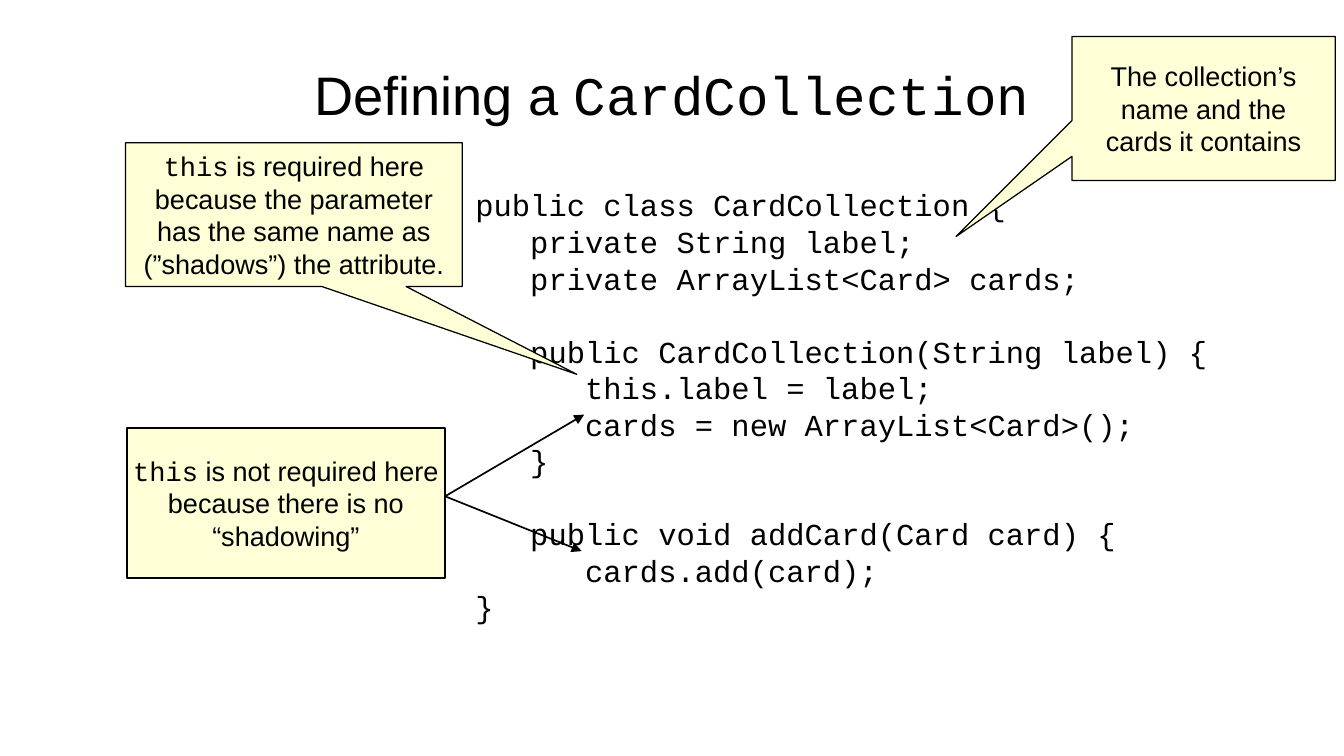
from lxml.etree import SubElement
from pptx import Presentation
from pptx.dml.color import RGBColor
from pptx.enum.shapes import MSO_CONNECTOR as Connector, MSO_SHAPE as Shape
from pptx.enum.text import MSO_ANCHOR as Anchor, PP_ALIGN as Align
from pptx.oxml.ns import qn
from pptx.util import Inches, Pt

WIDTH, HEIGHT = Inches(11.02), Inches(6.2)
SANS, MONO = "Arial", "Courier New"
BLACK, CREAM = "000000", "FFFFD7"
CODE_SIZE, NOTE_SIZE, TITLE_SIZE = 18, 16, 32
CODE_INDENT = Inches(0.45)  # three monospaced characters
BLANK_LINE = 21.5

# Each line: indent level, blank lines above, code.
CODE = [
    (0, 0, "public class CardCollection {"),
    (1, 0, "private String label;"),
    (1, 0, "private ArrayList<Card> cards;"),
    (1, 1, "public CardCollection(String label) {"),
    (2, 0, "this.label = label;"),
    (2, 0, "cards = new ArrayList<Card>();"),
    (1, 0, "}"),
    (1, 1, "public void addCard(Card card) {"),
    (2, 0, "cards.add(card);"),
    (0, 0, "}"),
]


def color(value):
    """Turn a hex string into a colour."""
    return RGBColor.from_string(value)


def place(x, y):
    """Turn percentages of the slide's width and height into lengths."""
    return round(WIDTH * x / 100), round(HEIGHT * y / 100)


def add_span(para, text, font, size):
    """Append one black run to a paragraph."""
    span = para.add_run()
    span.text = text
    span.font.name = font
    span.font.size = Pt(size)
    span.font.color.rgb = color(BLACK)


def add_paras(frame, count):
    """Return the frame's first paragraph and as many more as needed."""
    return [frame.paragraphs[0]] + [frame.add_paragraph() for _ in range(count - 1)]


def fill_centered(frame, lines, size):
    """Write centred lines, each a list of (text, font) pairs."""
    frame.vertical_anchor = Anchor.MIDDLE
    for para, line in zip(add_paras(frame, len(lines)), lines):
        para.alignment = Align.CENTER
        for text, font in line:
            add_span(para, text, font, size)


def add_title(page, at, size, line):
    """Add the heading in a box without margins."""
    frame = page.shapes.add_textbox(*place(*at), *place(*size)).text_frame
    frame.word_wrap = True
    frame.margin_left = frame.margin_right = 0
    frame.margin_top = frame.margin_bottom = 0
    fill_centered(frame, [line], TITLE_SIZE)


def add_code(page, at, size, lines):
    """Add a code listing, indented by level."""
    frame = page.shapes.add_textbox(*place(*at), *place(*size)).text_frame
    frame.word_wrap = True
    frame.margin_right = 0
    for para, (level, gap, text) in zip(add_paras(frame, len(lines)), lines):
        para.space_before = Pt(BLANK_LINE * gap)
        props = para._p.get_or_add_pPr()
        props.set("marL", str(CODE_INDENT * level))
        props.set("indent", "0")
        add_span(para, text, MONO, CODE_SIZE)


def add_note(page, at, size, lines, pointer=None, line_width=0):
    """Add a cream note; a pointer makes it a callout."""
    kind = Shape.RECTANGULAR_CALLOUT if pointer else Shape.RECTANGLE
    box = page.shapes.add_shape(kind, *place(*at), *place(*size))
    for index, value in enumerate(pointer or ()):
        box.adjustments[index] = value
    box.shadow.inherit = False
    box.fill.solid()
    box.fill.fore_color.rgb = color(CREAM)
    box.line.color.rgb = color(BLACK)
    box.line.width = Pt(line_width)
    box.text_frame.word_wrap = False
    fill_centered(box.text_frame, lines, NOTE_SIZE)


def add_arrow(page, start, end):
    """Add a black arrow that points at its end."""
    arrow = page.shapes.add_connector(Connector.STRAIGHT, *place(*start), *place(*end))
    arrow.line.color.rgb = color(BLACK)
    arrow.line.width = Pt(1)
    SubElement(arrow.line._get_or_add_ln(), qn("a:tailEnd"), type="triangle")
    SubElement(arrow._element.spPr, qn("a:effectLst"))


def main():
    """Build and save the slide."""
    deck = Presentation()
    deck.slide_width, deck.slide_height = WIDTH, HEIGHT
    page = deck.slides.add_slide(deck.slide_layouts[6])

    add_title(page, (5, 4.03), (90, 16.77),
              [("Defining a ", SANS), ("CardCollection", MONO)])
    add_code(page, (34.48, 23.87), (56.26, 60.97), CODE)
    add_note(page, (9.35, 18.87), (25.05, 19.03), [
        [("this", MONO), (" is required here", SANS)],
        [("because the parameter", SANS)],
        [("has the same name as", SANS)],
        [("(”shadows”) the attribute.", SANS)],
    ], pointer=(0.84, 1.11))
    add_note(page, (9.44, 56.61), (23.68, 19.84), [
        [("this", MONO), (" is not required here", SANS)],
        [("because there is no", SANS)],
        [("“shadowing”", SANS)],
    ], line_width=1)
    for target in [(43.47, 54.84), (43.28, 72.9)]:
        add_arrow(page, (33.12, 65.65), target)
    add_note(page, (79.76, 4.84), (19.6, 19.03), [
        [("The collection’s", SANS)],
        [("name and the", SANS)],
        [("cards it contains", SANS)],
    ], pointer=(-0.94, 0.89))

    deck.save("out.pptx")


main()
